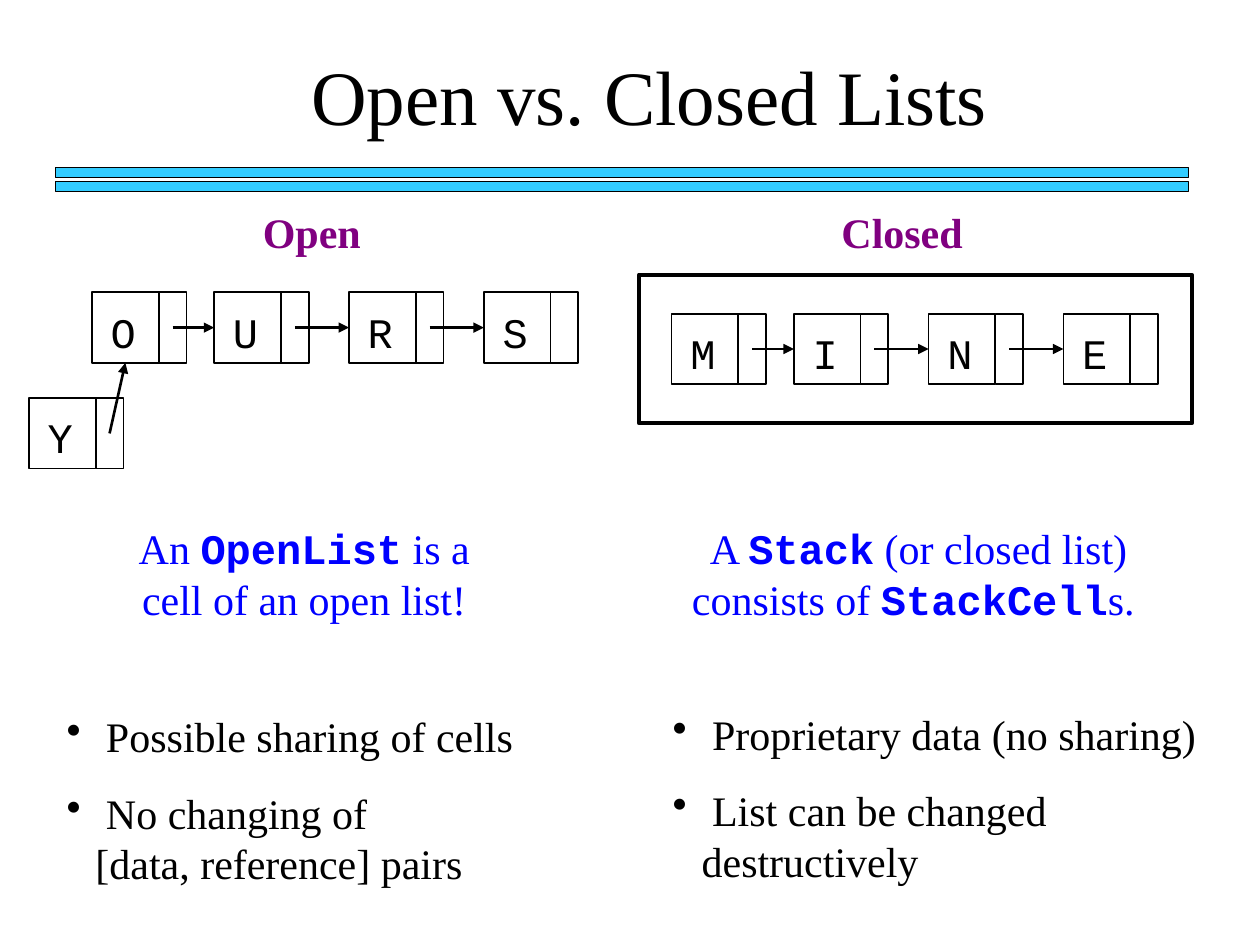
from lxml import etree
from pptx import Presentation
from pptx.dml.color import RGBColor
from pptx.enum.shapes import MSO_CONNECTOR, MSO_SHAPE
from pptx.enum.text import MSO_ANCHOR, MSO_AUTO_SIZE, PP_ALIGN
from pptx.oxml.ns import qn
from pptx.util import Inches, Pt

RECTANGLE = MSO_SHAPE.RECTANGLE
STRAIGHT = MSO_CONNECTOR.STRAIGHT
CENTER, LEFT = PP_ALIGN.CENTER, PP_ALIGN.LEFT
FIT_SHAPE, NO_FIT = MSO_AUTO_SIZE.SHAPE_TO_FIT_TEXT, MSO_AUTO_SIZE.NONE

BLACK = RGBColor(0x00, 0x00, 0x00)
WHITE = RGBColor(0xFF, 0xFF, 0xFF)
SKY = RGBColor(0x33, 0xCC, 0xFF)
PURPLE = RGBColor(0x80, 0x00, 0x80)
BLUE = RGBColor(0x00, 0x00, 0xFF)
SERIF, MONO = "Times New Roman", "Courier New"
BODY_SIZE = 24

# List cell geometry, in inches
DATA_W, LINK_W, CELL_H = 0.53, 0.22, 0.56
LINK_START = 0.64
CELL_STEPS = (0, 0.97, 2.04, 3.11)
LEFT_SIDE, BOTTOM_SIDE = 1, 2
HANG = 0.23


def set_font(target, size=BODY_SIZE, name=SERIF, color=BLACK, bold=False):
    font = target.font
    font.size, font.name, font.bold = Pt(size), name, bold
    font.color.rgb = color


def add_rect(shapes, x, y, w, h, fill=None, line_width=1.0):
    rect = shapes.add_shape(RECTANGLE, Inches(x), Inches(y), Inches(w), Inches(h))
    rect.shadow.inherit = False
    if fill is None:
        rect.fill.background()
    else:
        rect.fill.solid()
        rect.fill.fore_color.rgb = fill
    rect.line.color.rgb = BLACK
    rect.line.width = Pt(line_width)
    return rect


def add_text_frame(slide, x, y, w, h):
    box = slide.shapes.add_textbox(Inches(x), Inches(y), Inches(w), Inches(h))
    frame = box.text_frame
    frame.word_wrap = True
    frame.auto_size = FIT_SHAPE
    return frame


def add_label(slide, x, y, w, text, align=CENTER, **font):
    paragraph = add_text_frame(slide, x, y, w, 0.5).paragraphs[0]
    paragraph.text = text
    paragraph.alignment = align
    set_font(paragraph, **font)


def add_caption(slide, x, y, w, parts):
    """Parts alternate between plain words and class names."""
    paragraph = add_text_frame(slide, x, y, w, 0.9).paragraphs[0]
    paragraph.alignment = CENTER
    for index, text in enumerate(parts):
        run = paragraph.add_run()
        run.text = text
        is_class = index % 2 == 1
        set_font(run, name=MONO if is_class else SERIF, color=BLUE, bold=is_class)


def add_bullets(slide, x, y, w, items):
    frame = add_text_frame(slide, x, y, w, 1.51)
    for index, item in enumerate(items):
        paragraph = frame.add_paragraph() if index else frame.paragraphs[0]
        paragraph.text = item
        if index:
            paragraph.space_before = Pt(15)
        properties = paragraph._p.get_or_add_pPr()
        properties.set("marL", str(Inches(HANG)))
        properties.set("indent", str(-Inches(HANG)))
        etree.SubElement(properties, qn("a:buChar")).set("char", "•")
        set_font(paragraph)


def add_cell(slide, x, y, letter):
    """Draw a data field with its link field; return the data field."""
    data = add_rect(slide.shapes, x, y, DATA_W, CELL_H, WHITE)
    add_rect(slide.shapes, x + DATA_W, y, LINK_W, CELL_H, WHITE)
    add_label(slide, x + 0.05, y + 0.06, 0.79, letter, LEFT, name=MONO)
    return data


def add_link(slide, source, target, side):
    """Arrow from the link field beside source to a side of target."""
    x, y = source.left + Inches(LINK_START), source.top + source.height // 2
    link = slide.shapes.add_connector(STRAIGHT, x, y, target.left, y)
    link.end_connect(target, side)
    link.line.color.rgb = BLACK
    link.line.width = Pt(1.5)
    etree.SubElement(link.line._get_or_add_ln(), qn("a:tailEnd")).set("type", "triangle")
    etree.SubElement(link._element.spPr, qn("a:effectLst"))


def add_linked_list(slide, x, y, letters):
    """Draw a row of linked cells; return the first data field."""
    cells = [add_cell(slide, x + step, y, letter)
             for step, letter in zip(CELL_STEPS, letters)]
    for source, target in zip(cells, cells[1:]):
        add_link(slide, source, target, LEFT_SIDE)
    return cells[0]


def add_title(slide, text):
    title = slide.shapes.title
    title.left, title.top = Inches(1.06), Inches(0.34)
    title.width, title.height = Inches(8.19), Inches(0.83)
    frame = title.text_frame
    frame.text = text
    frame.auto_size = NO_FIT
    frame.vertical_anchor = MSO_ANCHOR.BOTTOM
    paragraph = frame.paragraphs[0]
    paragraph.alignment = CENTER
    set_font(paragraph, size=44)


def main():
    deck = Presentation()
    deck.slide_width, deck.slide_height = Inches(10), Inches(7.5)
    slide = deck.slides.add_slide(deck.slide_layouts[5])

    # Title with double rule
    add_title(slide, "Open vs. Closed Lists")
    rules = slide.shapes.add_group_shape()
    for y in (1.33, 1.44):
        add_rect(rules.shapes, 0.44, y, 8.99, 0.08, SKY, 0.75)

    # Column headings
    add_label(slide, 0.99, 1.59, 2.97, "Open", color=PURPLE, bold=True)
    add_label(slide, 5.31, 1.59, 3.7, "Closed", color=PURPLE, bold=True)

    # Open list, shared by a second head cell
    open_head = add_linked_list(slide, 0.73, 2.32, "OURS")
    sharing_head = add_cell(slide, 0.23, 3.16, "Y")
    add_link(slide, sharing_head, open_head, BOTTOM_SIDE)

    # Closed list inside its frame
    add_linked_list(slide, 5.33, 2.49, "MINE")
    add_rect(slide.shapes, 5.07, 2.18, 4.39, 1.18, line_width=2.25)

    # Properties of each kind of list
    add_bullets(slide, 0.43, 5.59, 4.36,
                [" Possible sharing of cells",
                 " No changing of\v[data, reference] pairs"])
    add_bullets(slide, 5.24, 5.57, 4.45,
                [" Proprietary data (no sharing)",
                 " List can be changed\vdestructively"])

    # Definitions
    add_caption(slide, 0.83, 4.1, 3.17,
                ["An ", "OpenList", " is a cell of an open list!"])
    add_caption(slide, 5.08, 4.1, 4.42,
                ["A ", "Stack", " (or closed list) consists of ", "StackCell", "s. "])

    deck.save("out.pptx")


if __name__ == "__main__":
    main()
